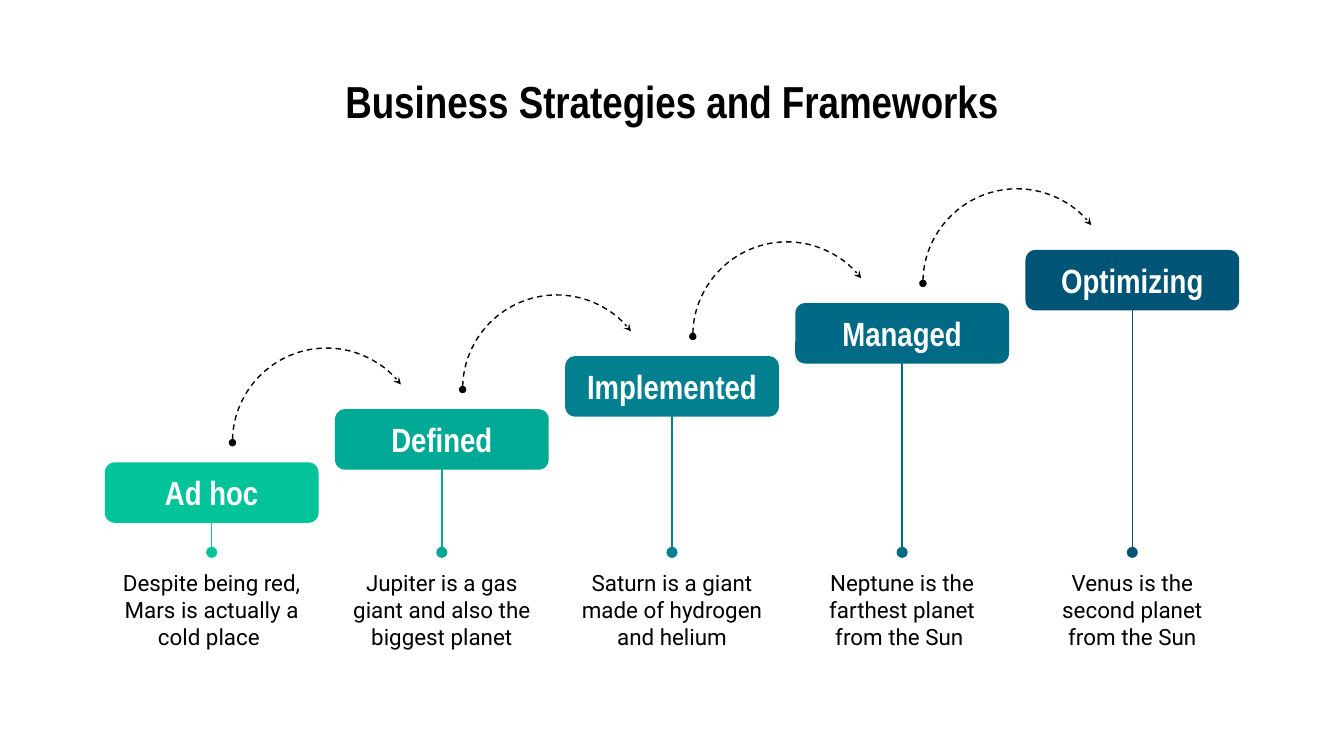
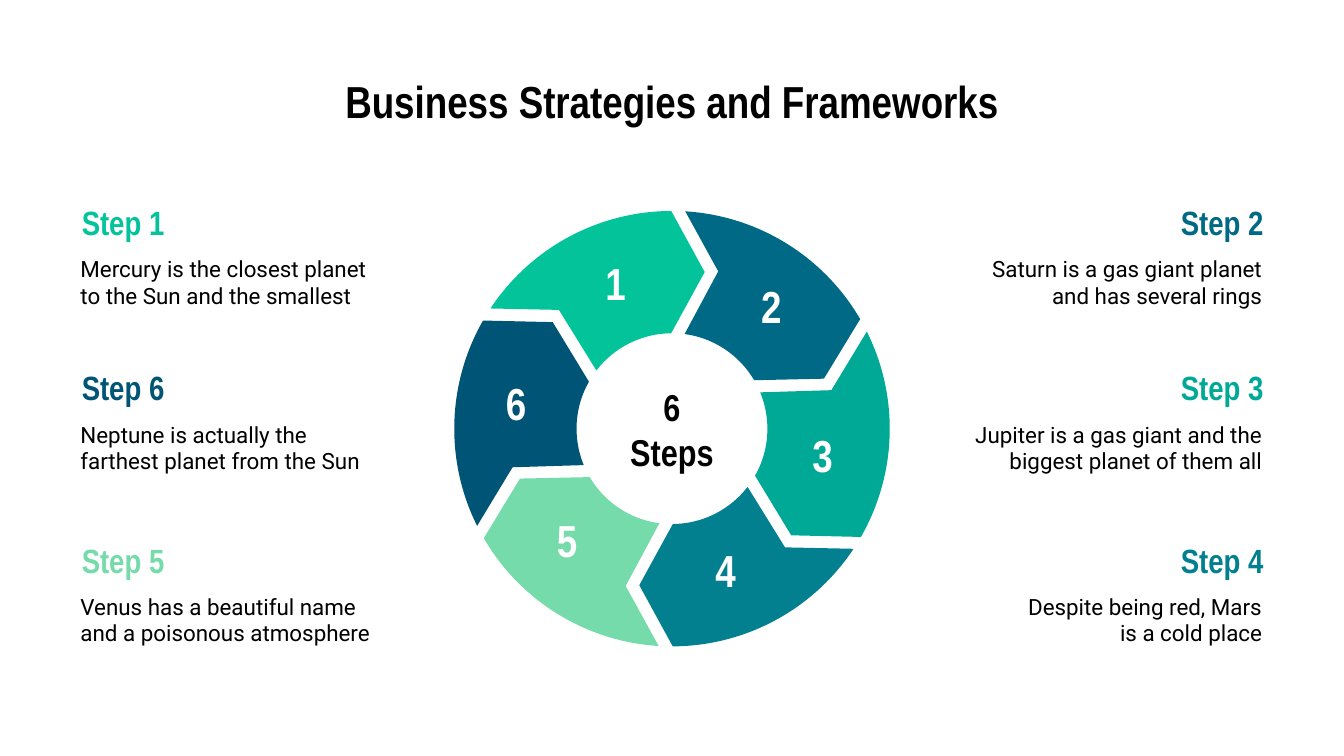
"""Build two strategy slides: a maturity staircase and a six-step ring."""
import dataclasses
import math

import pptx
import pptx.dml.color
import pptx.enum.dml
import pptx.enum.shapes
import pptx.enum.text
import pptx.oxml.ns
import pptx.util
from lxml import etree

Inches = pptx.util.Inches
Pt = pptx.util.Pt
qn = pptx.oxml.ns.qn
Shape = pptx.enum.shapes.MSO_SHAPE
Align = pptx.enum.text.PP_ALIGN
Anchor = pptx.enum.text.MSO_ANCHOR
Point = tuple[int, int]

COLORS = {
    "black": "000000",
    "white": "FFFFFF",
    "mint": "02C39A",
    "jade": "00A896",
    "teal": "028090",
    "ocean": "006985",
    "navy": "005475",
    "pale": "76DBAB",
}
HEAD_FONT = "Arial Narrow"
BODY_FONT = "Roboto"
TITLE = "Business Strategies and Frameworks"

LEVEL_W, LEVEL_H = 1.59, 0.45
FIRST_X, LAST_X = 0.78, 7.63
FIRST_Y, LAST_Y = 3.44, 1.86
STEM_END = 4.11

RING_X, RING_Y = 5.0, 3.19
OUTER_R, INNER_R, TIP_R, NOTCH_R = 1.62, 0.71, 1.19, 1.22
LEFT, RIGHT = 0.5, 7.0
ROWS = ((1.5, 1.8), (2.73, 3.03), (4.02, 4.31))


@dataclasses.dataclass(frozen=True)
class Level:
    """One stair of the maturity model."""
    name: str
    note: str
    color: str


@dataclasses.dataclass(frozen=True)
class Step:
    """One ring segment, its caption place and its number place."""
    color: str
    note: str
    x: float
    row: int
    num_x: float
    num_y: float


LEVELS = (
    Level("Ad hoc", "Despite being red, Mars is actually a cold place ", "mint"),
    Level("Defined", "Jupiter is a gas giant and also the biggest planet", "jade"),
    Level("Implemented", "Saturn is a giant made of hydrogen and helium", "teal"),
    Level("Managed", "Neptune is the farthest planet\nfrom the Sun ", "ocean"),
    Level("Optimizing", "Venus is the second planet from the Sun", "navy"),
)
STEPS = (
    Step("mint", "Mercury is the closest planet to the Sun and the smallest",
         LEFT, 0, 4.26, 1.99),
    Step("ocean", "Saturn is a gas giant planet and has several rings",
         RIGHT, 0, 5.42, 2.16),
    Step("jade", "Jupiter is a gas giant and the biggest planet of them all",
         RIGHT, 1, 5.8, 3.27),
    Step("teal", "Despite being red, Mars\nis a cold place",
         RIGHT, 2, 5.08, 4.12),
    Step("pale", "Venus has a beautiful name and a poisonous atmosphere",
         LEFT, 2, 3.9, 3.9),
    Step("navy", "Neptune is actually the farthest planet from the Sun",
         LEFT, 1, 3.52, 2.88),
)


def rgb(name: str) -> pptx.dml.color.RGBColor:
    """Return the named palette colour."""
    return pptx.dml.color.RGBColor.from_string(COLORS[name])


def write(sp, text: str, *, size: float = 12, font: str = BODY_FONT,
          color: str = "black", bold: bool = False, align=Align.CENTER,
          anchor=Anchor.MIDDLE, one_paragraph: bool = False) -> None:
    """Put formatted text into a shape; new lines start paragraphs or are breaks."""
    tf = sp.text_frame
    tf.word_wrap = True
    tf.auto_size = pptx.enum.text.MSO_AUTO_SIZE.NONE
    tf.vertical_anchor = anchor
    tf.margin_left = tf.margin_right = tf.margin_top = tf.margin_bottom = Inches(0.1)
    target = tf.paragraphs[0] if one_paragraph else tf
    target.text = text
    for p in tf.paragraphs:
        p.alignment = align
        for r in p.runs:
            r.font.size = Pt(size)
            r.font.name = font
            r.font.bold = bold
            r.font.color.rgb = rgb(color)


def add_text(shapes, text: str, x: float, y: float, w: float, h: float, **fmt) -> None:
    """Add a text box with formatted text."""
    write(shapes.add_textbox(Inches(x), Inches(y), Inches(w), Inches(h)), text, **fmt)


def add_heading(shapes, text: str, x: float, y: float, w: float, h: float,
                size: float = 18, **fmt) -> None:
    """Add a text box in the bold heading font."""
    add_text(shapes, text, x, y, w, h, size=size, font=HEAD_FONT, bold=True, **fmt)


def add_title_slide(prs):
    """Add a title-only slide with the shared title."""
    slide = prs.slides.add_slide(prs.slide_layouts[5])
    sp = slide.shapes.title
    sp.left, sp.top, sp.width, sp.height = (Inches(v) for v in (0.5, 0.45, 9, 0.63))
    write(sp, TITLE, size=24, font=HEAD_FONT, bold=True, anchor=Anchor.TOP)
    return slide


def add_group(slide):
    """Add an empty group and return its shapes."""
    return slide.shapes.add_group_shape().shapes


def fill(sp, color: str) -> None:
    """Give a shape a flat fill with no outline or shadow."""
    sp.shadow.inherit = False
    sp.fill.solid()
    sp.fill.fore_color.rgb = rgb(color)
    sp.line.fill.background()


def style_line(sp, color: str, mark: str = "med", **ends: str) -> None:
    """Set a thin line and its end marks, headEnd before tailEnd."""
    sp.line.color.rgb = rgb(color)
    sp.line.width = Pt(0.75)
    ln = sp.line._get_or_add_ln()
    for tag, kind in ends.items():
        etree.SubElement(ln, qn(f"a:{tag}"), type=kind, w=mark, len=mark)


def add_arc(shapes, x: float, y: float) -> None:
    """Add a dashed arc that leads to the next stair."""
    sp = shapes.add_shape(Shape.ARC, Inches(x), Inches(y), Inches(1.4), Inches(1.4))
    sp.shadow.inherit = False
    sp.fill.background()
    for i, degrees in enumerate((179.67, 322.19)):
        sp.adjustments[i] = degrees * 0.6
    sp.line.dash_style = pptx.enum.dml.MSO_LINE.DASH
    style_line(sp, "black", "sm", headEnd="oval", tailEnd="stealth")


def add_stem(shapes, x: float, top: float, color: str) -> None:
    """Add the vertical line from a stair to its note."""
    sp = shapes.add_connector(pptx.enum.shapes.MSO_CONNECTOR.STRAIGHT,
                              Inches(x), Inches(top), Inches(x), Inches(STEM_END))
    style_line(sp, color, tailEnd="oval")
    etree.SubElement(sp._element.spPr, qn("a:effectLst"))


def add_level(slide, level: Level, i: int) -> None:
    """Add one stair with its stem, note and arc to the next."""
    shapes = add_group(slide)
    last = len(LEVELS) - 1
    x = FIRST_X + (LAST_X - FIRST_X) * i / last
    y = FIRST_Y + (LAST_Y - FIRST_Y) * i / last
    if i < last:
        add_arc(shapes, x + 0.95, y - 0.85)
    add_stem(shapes, x + LEVEL_W / 2, y + 0.36, level.color)
    sp = shapes.add_shape(Shape.ROUNDED_RECTANGLE, Inches(x), Inches(y),
                          Inches(LEVEL_W), Inches(LEVEL_H))
    sp.adjustments[0] = 0.167
    fill(sp, level.color)
    write(sp, level.name, size=18, font=HEAD_FONT, bold=True, color="white")
    add_text(shapes, level.note, x, 4.19, LEVEL_W, 0.69, one_paragraph=True)


def polar(radius: float, degrees: float, lead: float = 0) -> Point:
    """Return the ring point at a clockwise angle, moved along its tangent by lead."""
    a = math.radians(degrees)
    return (Inches(RING_X + radius * math.cos(a) - lead * math.sin(a)),
            Inches(RING_Y + radius * math.sin(a) + lead * math.cos(a)))


def sweep(radius: float, start: float, end: float) -> list[list[Point]]:
    """Return Bézier triples along an arc, split where it crosses an axis."""
    low, high = sorted((start, end))
    cuts = [start, *(a for a in range(0, 721, 90) if low < a < high), end]
    curves = []
    for a, b in zip(cuts, cuts[1:]):
        lead = radius * 4 / 3 * math.tan(math.radians(b - a) / 4)
        curves.append([polar(radius, a, lead), polar(radius, b, -lead), polar(radius, b)])
    return curves


def add_segment(shapes, i: int, color: str) -> None:
    """Add one arrow-shaped ring segment, turned by 60 degrees per step."""
    turn = 60 * i
    pieces = [
        *sweep(OUTER_R, turn + 213.5, turn + 269.8),
        [polar(TIP_R, turn + 281.8)],
        [polar(INNER_R, turn + 269.5)],
        *sweep(INNER_R, turn + 269.5, turn + 217.6),
        [polar(NOTCH_R, turn + 226.4)],
    ]
    fb = shapes.build_freeform(*polar(OUTER_R, turn + 213.5))
    fb.add_line_segments([point for piece in pieces for point in piece], close=True)
    sp = fb.convert_to_shape()
    lines = iter(list(sp._element.iter(qn("a:lnTo"))))
    for piece in pieces:
        first, *rest = [next(lines) for _ in piece]
        if rest:
            first.tag = qn("a:cubicBezTo")
            for line in rest:
                first.append(line[0])
                line.getparent().remove(line)
    fill(sp, color)


def add_caption(slide, number: int, step: Step) -> None:
    """Add a step's heading and note, aligned to its outer side."""
    shapes = add_group(slide)
    align = Align.LEFT if step.x == LEFT else Align.RIGHT
    head_y, note_y = ROWS[step.row]
    add_heading(shapes, f"Step {number}", step.x + 0.01, head_y, 2.49, 0.3,
                color=step.color, align=align)
    add_text(shapes, step.note, step.x, note_y, 2.49, 0.62,
             align=align, anchor=Anchor.TOP)


def main() -> None:
    """Build and save the presentation."""
    prs = pptx.Presentation()
    prs.slide_width, prs.slide_height = Inches(10), Inches(10 * 9 / 16)

    stairs = add_title_slide(prs)
    for i, level in enumerate(LEVELS):
        add_level(stairs, level, i)

    cycle = add_title_slide(prs)
    for i, step in enumerate(STEPS):
        add_caption(cycle, i + 1, step)
    ring = add_group(cycle)
    for i, step in enumerate(STEPS):
        add_segment(ring, i, step.color)
    add_heading(ring, "6 Steps", 4.57, 2.88, 0.86, 0.63, size=20)
    for i, step in enumerate(STEPS):
        add_heading(ring, str(i + 1), step.num_x, step.num_y, 0.64, 0.23,
                    size=24, color="white")

    prs.save("out.pptx")


if __name__ == "__main__":
    main()
